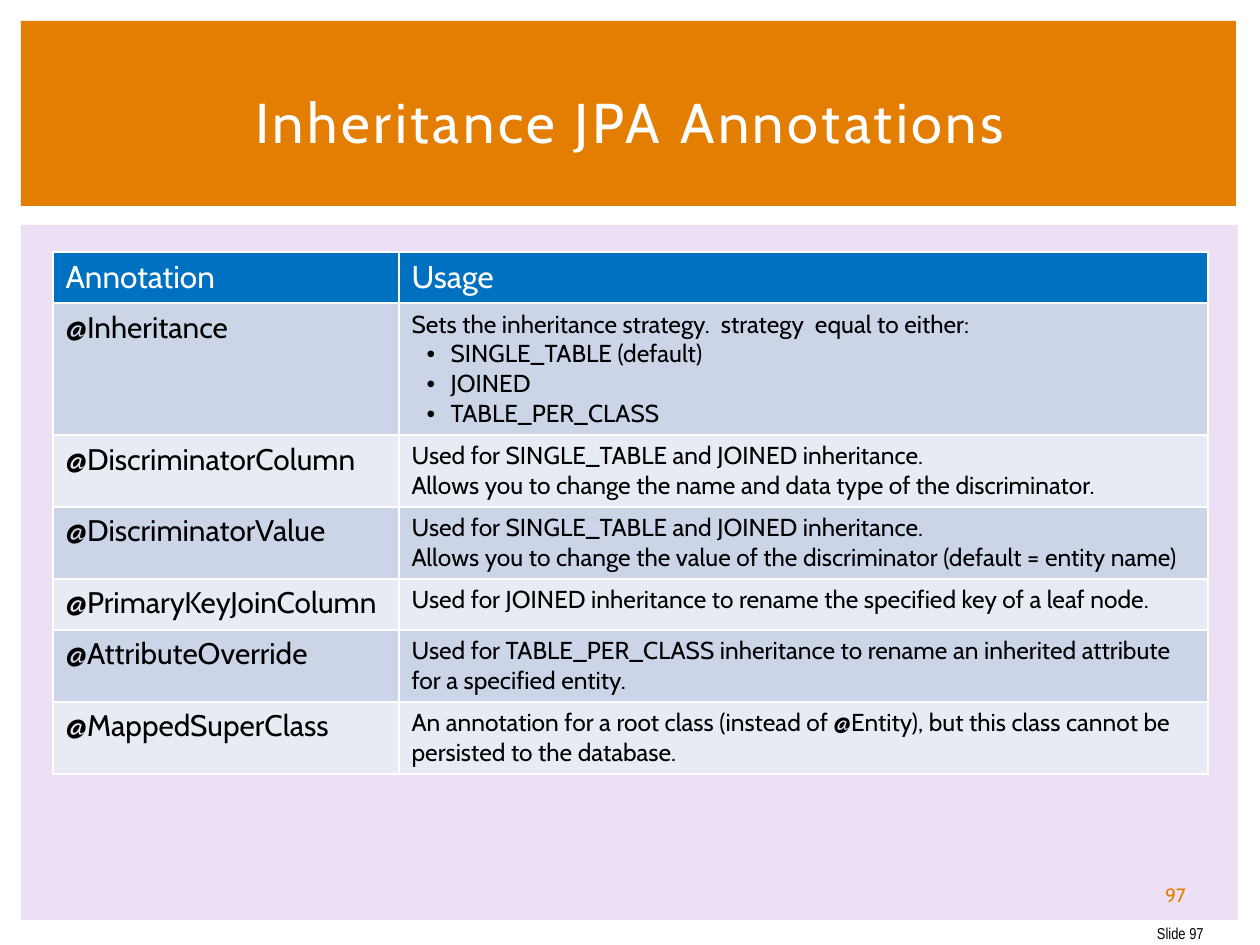
"""Builds the slide on inheritance annotations in JPA."""
from lxml import etree
from pptx import Presentation, util as u
from pptx.dml.color import RGBColor
from pptx.enum import shapes, text
from pptx.oxml import ns

PX = 914400 // 126
WIDTH, HEIGHT = 1260, 945
COLORS = {"orange": "E37E03", "lilac": "EEE0F4", "blue": "0070C0", "white": "FFFFFF",
          "black": "000000", "band_dark": "CCD5E8", "band_light": "E7EBF4"}
BODY_FONT, FOOTER_FONT = "Cabin", "Arial Narrow"

PANELS = [("lilac", (21, 225, 1217, 695)), ("orange", (21, 21, 1215, 185))]
LABELS = [
    ("Slide 97", (1135, 914, 81, 38), 9, FOOTER_FONT, "black", text.PP_ALIGN.RIGHT, 0),
    ("97", (1135, 876, 81, 38), 11, BODY_FONT, "orange", text.PP_ALIGN.CENTER, 0),
    ("Inheritance JPA Annotations", (53, 49, 1155, 145), 32, BODY_FONT, "white",
     text.PP_ALIGN.CENTER, 2),
]
HEADER = ("Annotation", "Usage")
ANNOTATIONS = [
    ("@Inheritance", ["Sets the inheritance strategy.  strategy  equal to either:",
                      "• SINGLE_TABLE (default)", "• JOINED", "• TABLE_PER_CLASS"]),
    ("@DiscriminatorColumn",
     ["Used for SINGLE_TABLE and JOINED inheritance.\n"
      "Allows you to change the name and data type of the discriminator."]),
    ("@DiscriminatorValue",
     ["Used for SINGLE_TABLE and JOINED inheritance.",
      "Allows you to change the value of the discriminator (default = entity name)"]),
    ("@PrimaryKeyJoinColumn",
     ["Used for JOINED inheritance to rename the specified key of a leaf node."]),
    ("@AttributeOverride",
     ["Used for TABLE_PER_CLASS inheritance to rename an inherited attribute "
      "for a specified entity."]),
    ("@MappedSuperClass",
     ["An annotation for a root class (instead of @Entity), but this class cannot be "
      "persisted to the database."]),
]
TABLE_LEFT, TABLE_TOP = 53, 252
COLUMN_WIDTHS = (346, 809)
ROW_HEIGHTS = (51, 132, 72, 72, 51, 72, 72)


def color(name):
    return RGBColor.from_string(COLORS[name])


def place(box):
    return [length * PX for length in box]


def add_run(paragraph, words, size, font, tint, spacing=0):
    run = paragraph.add_run()
    run.text = words
    run.font.size, run.font.name, run.font.bold = u.Pt(size), font, False
    run.font.color.rgb = color(tint)
    if spacing:
        run._r.get_or_add_rPr().set("spc", str(spacing * 100))


def indent(paragraph, margin, hanging):
    properties = paragraph._p.get_or_add_pPr()
    properties.set("marL", str(margin * PX))
    properties.set("indent", str(-hanging * PX))
    return properties


def fill_cell(cell, paragraphs, size, tint, fill):
    cell.fill.solid()
    cell.fill.fore_color.rgb = color(fill)
    frame = cell.text_frame
    has_list = any(words.startswith("• ") for words in paragraphs)
    for number, words in enumerate(paragraphs):
        paragraph = frame.add_paragraph() if number else frame.paragraphs[0]
        if words.startswith("• "):
            properties = indent(paragraph, 39, 24)
            etree.SubElement(properties, ns.qn("a:buFont"), typeface="Arial")
            etree.SubElement(properties, ns.qn("a:buChar"), char="•")
        elif has_list:
            indent(paragraph, 23, 23)
        for part, line in enumerate(words.removeprefix("• ").split("\n")):
            if part:
                paragraph.add_line_break()
            add_run(paragraph, line, size, BODY_FONT, tint)


def add_panel(slide, fill, box):
    panel = slide.shapes.add_shape(shapes.MSO_SHAPE.RECTANGLE, *place(box))
    panel.shadow.inherit = False
    panel.fill.solid()
    panel.fill.fore_color.rgb = color(fill)
    panel.line.fill.background()


def add_label(slide, words, box, size, font, tint, align, spacing):
    frame = slide.shapes.add_textbox(*place(box)).text_frame
    frame.word_wrap = True
    frame.vertical_anchor = text.MSO_ANCHOR.MIDDLE
    frame.paragraphs[0].alignment = align
    add_run(frame.paragraphs[0], words, size, font, tint, spacing)


def add_annotations(slide):
    box = (TABLE_LEFT, TABLE_TOP, sum(COLUMN_WIDTHS), sum(ROW_HEIGHTS))
    table = slide.shapes.add_table(len(ROW_HEIGHTS), len(COLUMN_WIDTHS), *place(box)).table
    for column, width in zip(table.columns, COLUMN_WIDTHS):
        column.width = width * PX
    for row, height in zip(table.rows, ROW_HEIGHTS):
        row.height = height * PX
    for column, heading in enumerate(HEADER):
        fill_cell(table.cell(0, column), [heading], 18, "white", "blue")
    for row, (annotation, usage) in enumerate(ANNOTATIONS, 1):
        band = "band_dark" if row % 2 else "band_light"
        fill_cell(table.cell(row, 0), [annotation], 17, "black", band)
        fill_cell(table.cell(row, 1), usage, 14, "black", band)


def main():
    deck = Presentation()
    deck.slide_width, deck.slide_height = place((WIDTH, HEIGHT))
    slide = deck.slides.add_slide(deck.slide_layouts[6])
    for panel in PANELS:
        add_panel(slide, *panel)
    for label in LABELS:
        add_label(slide, *label)
    add_annotations(slide)
    deck.save("out.pptx")


if __name__ == "__main__":
    main()
